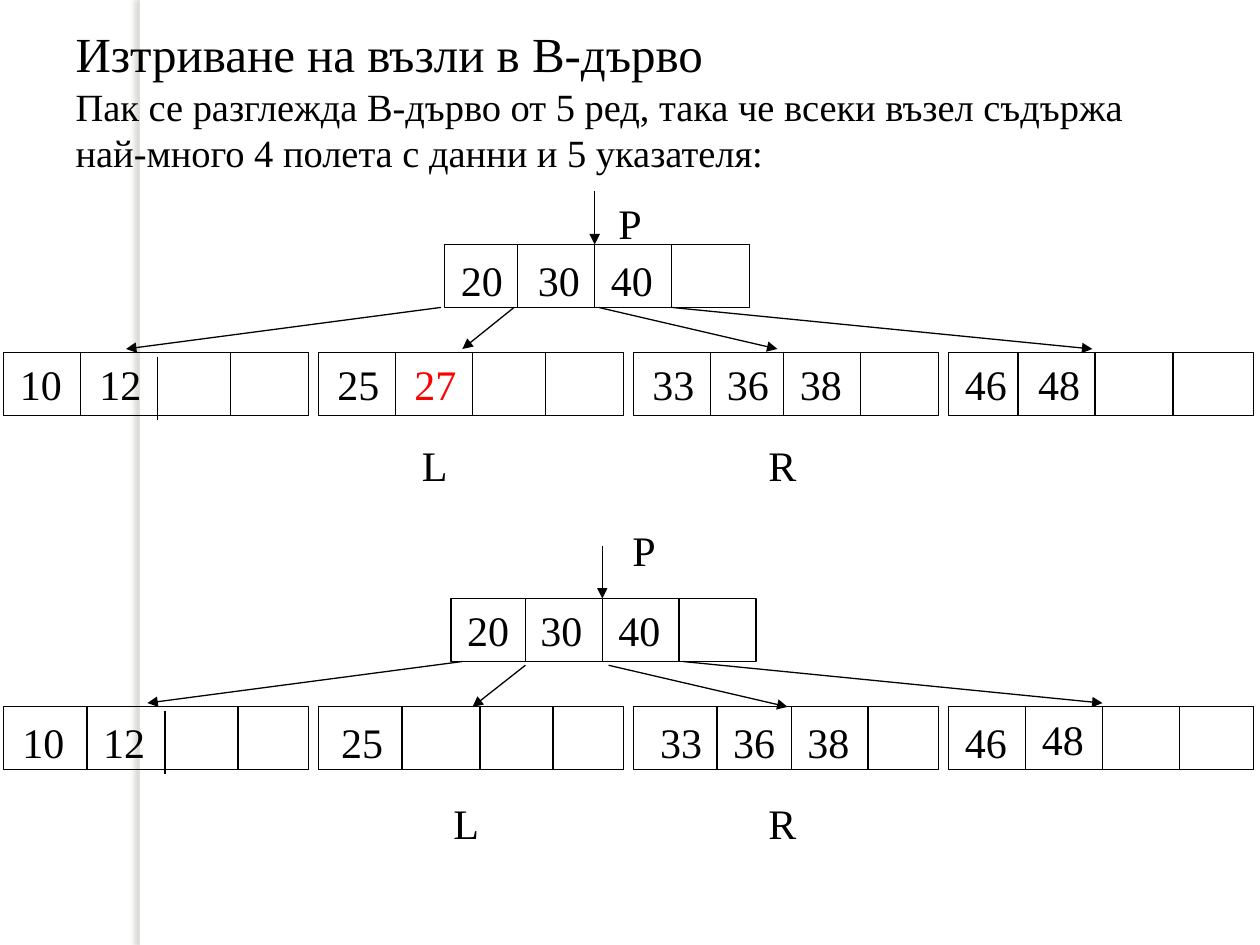
"""Builds a slide about deleting keys from a B-tree of order 5."""
from lxml import etree
from pptx import Presentation
from pptx.dml.color import RGBColor
from pptx.enum.shapes import MSO_CONNECTOR, MSO_SHAPE
from pptx.enum.text import MSO_ANCHOR, PP_ALIGN
from pptx.oxml.ns import qn
from pptx.util import Inches, Pt

RECT = MSO_SHAPE.RECTANGLE
STRAIGHT = MSO_CONNECTOR.STRAIGHT
TOP, LEFT = MSO_ANCHOR.TOP, PP_ALIGN.LEFT
COLORS = {"ink": "000000", "paper": "FFFFFF", "deleted": "FF0000", "shade": "736F63"}
FONT = "Times New Roman"
SLIDE_W, SLIDE_H = 10, 7.5
NODE_W, NODE_H = 2.42, 0.5
LEAF_X, LEAF_PITCH, LEAF_DROP = 0.03, 2.5, 0.86
ARROW_LEN, ARROW_RISE = 0.42, 0.33
LABEL_W = 0.75
KEY_W = 0.83
SECOND_DIVIDER_DROP = 0.03

BEFORE = {
    "root": (3.53, 1.94, (0.58, 1.19, 1.8), (("20", 0.03, 0.03), ("30", 0.64, 0.03), ("40", 1.22, 0.03))),
    "leaves": (
        ((0.61, 1.22, 1.8), (("10", 0.03, 0), ("12", 0.66, 0))),
        ((0.61, 1.22, 1.8), (("25", 0.05, 0), ("27", 0.66, 0))),
        ((0.61, 1.19, 1.8), (("33", 0.05, 0), ("36", 0.64, 0), ("38", 1.22, 0))),
        ((0.55, 1.16, 1.78), (("46", 0.03, 0), ("48", 0.61, 0))),
    ),
    "links": ((3.5, 1, 0), (4.08, 3.67, 0), (4.75, 6.17, 0), (5.33, 8.67, 0)),
    "labels": (("Р", 4.81, 1.52), ("L", 3.25, 3.44), ("R", 6, 3.44)),
}
AFTER = {
    "root": (3.58, 4.75, (0.59, 1.2, 1.81), (("20", 0.03, 0), ("30", 0.61, 0), ("40", 1.23, 0))),
    "leaves": (
        ((0.66, 1.28, 1.86), (("10", 0.05, 0.03), ("12", 0.69, 0.03))),
        ((0.66, 1.28, 1.86), (("25", 0.08, 0.03),)),
        ((0.66, 1.25, 1.86), (("33", 0.11, 0.03), ("36", 0.69, 0.03), ("38", 1.28, 0.03))),
        ((0.61, 1.22, 1.83), (("46", 0.03, 0.03), ("48", 0.64, 0))),
    ),
    "links": ((3.67, 1.17, 0), (4.17, 3.75, 0.03), (4.83, 6.25, 0.03), (5.42, 8.75, 0)),
    "labels": (("Р", 4.92, 4.11), ("L", 3.5, 6.28), ("R", 6, 6.28)),
}


def color(name):
    """Return a named colour."""
    return RGBColor.from_string(COLORS[name])


def add_strip(s):
    """Add the white strip whose soft shadow falls to the left."""
    sp = s.shapes.add_shape(RECT, Inches(1.11), 0, Inches(0.08), Inches(SLIDE_H))
    sp.fill.solid()
    sp.fill.fore_color.rgb = color("paper")
    sp.line.fill.background()
    sp.shadow.inherit = False
    effects = sp.element.spPr.find(qn("a:effectLst"))
    shadow = etree.SubElement(effects, qn("a:outerShdw"), blurRad=str(Pt(3)), dist=str(Pt(3)),
                              dir="10800000", algn="tl", rotWithShape="0")
    tint = etree.SubElement(shadow, qn("a:srgbClr"), val=COLORS["shade"])
    etree.SubElement(tint, qn("a:alpha"), val="25000")


def add_title(s):
    """Fill the title placeholder with the heading and its explanation."""
    sp = s.shapes.title
    sp.left, sp.top, sp.width, sp.height = (Inches(v) for v in (0.5, 0.14, 8.83, 1.3))
    tf = sp.text_frame
    tf.word_wrap = True
    tf.vertical_anchor = TOP
    p = tf.paragraphs[0]
    p.alignment = LEFT
    p.line_spacing = 1.0
    p.space_before = Pt(0)
    p.font.name = FONT
    p.font.color.rgb = color("ink")
    r = p.add_run()
    r.text = "Изтриване на възли в В-дърво"
    r.font.size = Pt(28)
    p.add_line_break()
    r = p.add_run()
    r.text = ("Пак се разглежда В-дърво от 5 ред, така че всеки възел съдържа "
              "най-много 4 полета с данни и 5 указателя:")
    r.font.size = Pt(22)


def add_text(s, text, x, y, w, ink="ink"):
    """Add a key or a node label."""
    tf = s.shapes.add_textbox(Inches(x), Inches(y), Inches(w), Inches(NODE_H)).text_frame
    tf.word_wrap = True
    p = tf.paragraphs[0]
    p.text = text
    p.font.name = FONT
    p.font.size = Pt(24)
    p.font.color.rgb = color(ink)


def add_line(s, x1, y1, x2, y2, arrow=False):
    """Add a thin line, with an arrowhead at its end if asked."""
    c = s.shapes.add_connector(STRAIGHT, Inches(x1), Inches(y1), Inches(x2), Inches(y2))
    c.line.color.rgb = color("ink")
    c.line.width = Pt(0.75)
    if arrow:
        etree.SubElement(c.line._get_or_add_ln(), qn("a:tailEnd"), type="triangle")
    etree.SubElement(c.element.spPr, qn("a:effectLst"))


def add_node(s, x, y, dividers, keys, drops=(0, 0, 0)):
    """Add a four-field node with its dividers and keys."""
    sp = s.shapes.add_shape(RECT, Inches(x), Inches(y), Inches(NODE_W), Inches(NODE_H))
    sp.fill.background()
    sp.line.color.rgb = color("ink")
    sp.line.width = Pt(0.75)
    sp.shadow.inherit = False
    for dx, drop in zip(dividers, drops):
        add_line(s, x + dx, y + drop, x + dx, y + drop + NODE_H)
    for key, dx, dy in keys:
        add_text(s, key, x + dx, y + dy, KEY_W, "deleted" if key == "27" else "ink")


def add_tree(s, tree):
    """Add a root, its four leaves, the pointers and the labels."""
    x, y, dividers, keys = tree["root"]
    add_node(s, x, y, dividers, keys)
    pointer_x = x + dividers[1]
    add_line(s, pointer_x, y - ARROW_LEN, pointer_x, y, True)
    for i, (leaf_dividers, leaf_keys) in enumerate(tree["leaves"]):
        drops = (0, 0 if i else SECOND_DIVIDER_DROP, 0)
        add_node(s, LEAF_X + i * LEAF_PITCH, y + LEAF_DROP, leaf_dividers, leaf_keys, drops)
    for x1, x2, drop in tree["links"]:
        start = y + NODE_H + drop
        add_line(s, x1, start, x2, start + ARROW_RISE, True)
    for text, label_x, label_y in tree["labels"]:
        add_text(s, text, label_x, label_y, LABEL_W)


def main():
    """Build and save the slide."""
    prs = Presentation()
    prs.slide_width, prs.slide_height = Inches(SLIDE_W), Inches(SLIDE_H)
    s = prs.slides.add_slide(prs.slide_layouts[5])
    add_strip(s)
    title = s.shapes.title.element
    title.getparent().append(title)
    add_title(s)
    for tree in (AFTER, BEFORE):
        add_tree(s, tree)
    prs.save("out.pptx")


if __name__ == "__main__":
    main()
